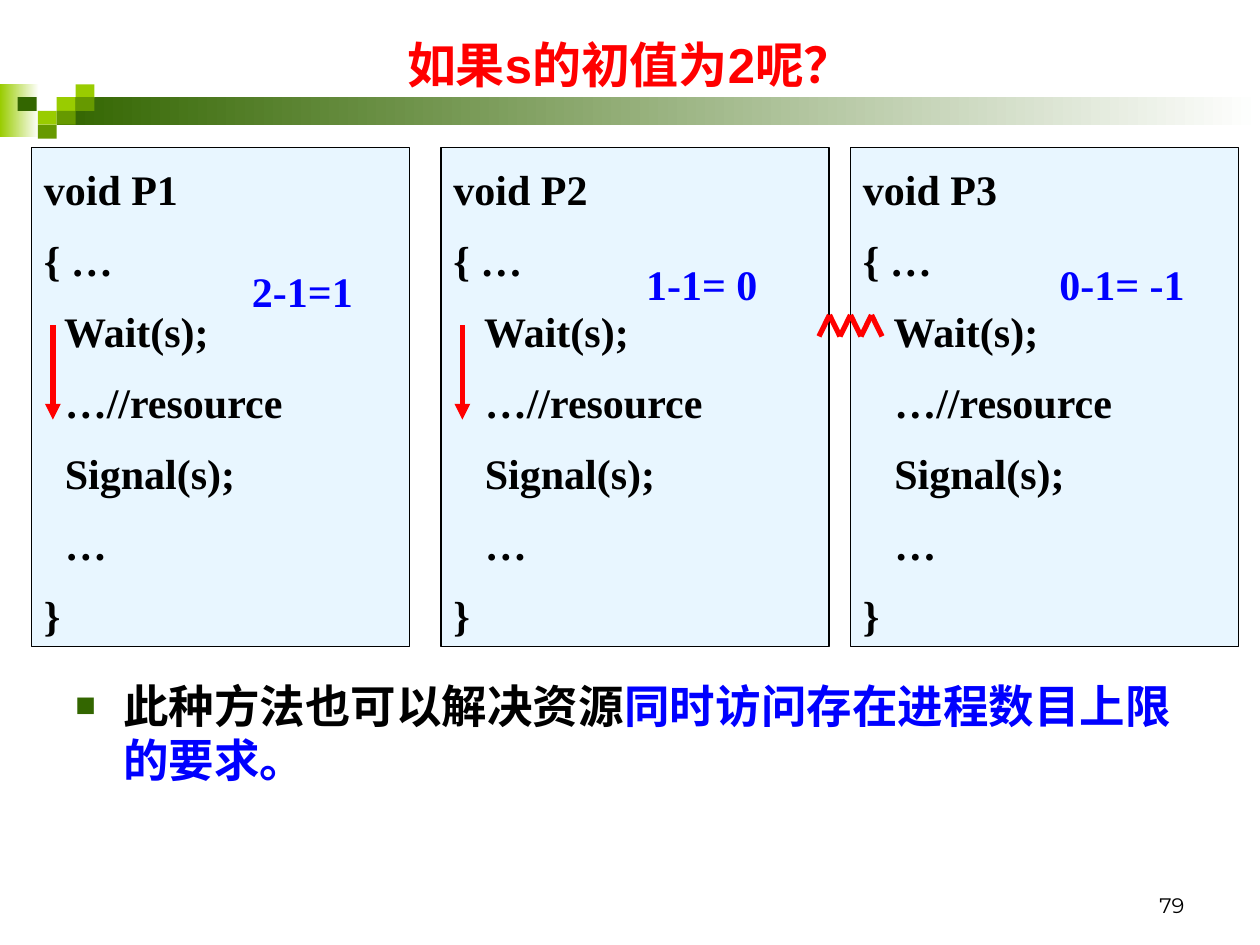
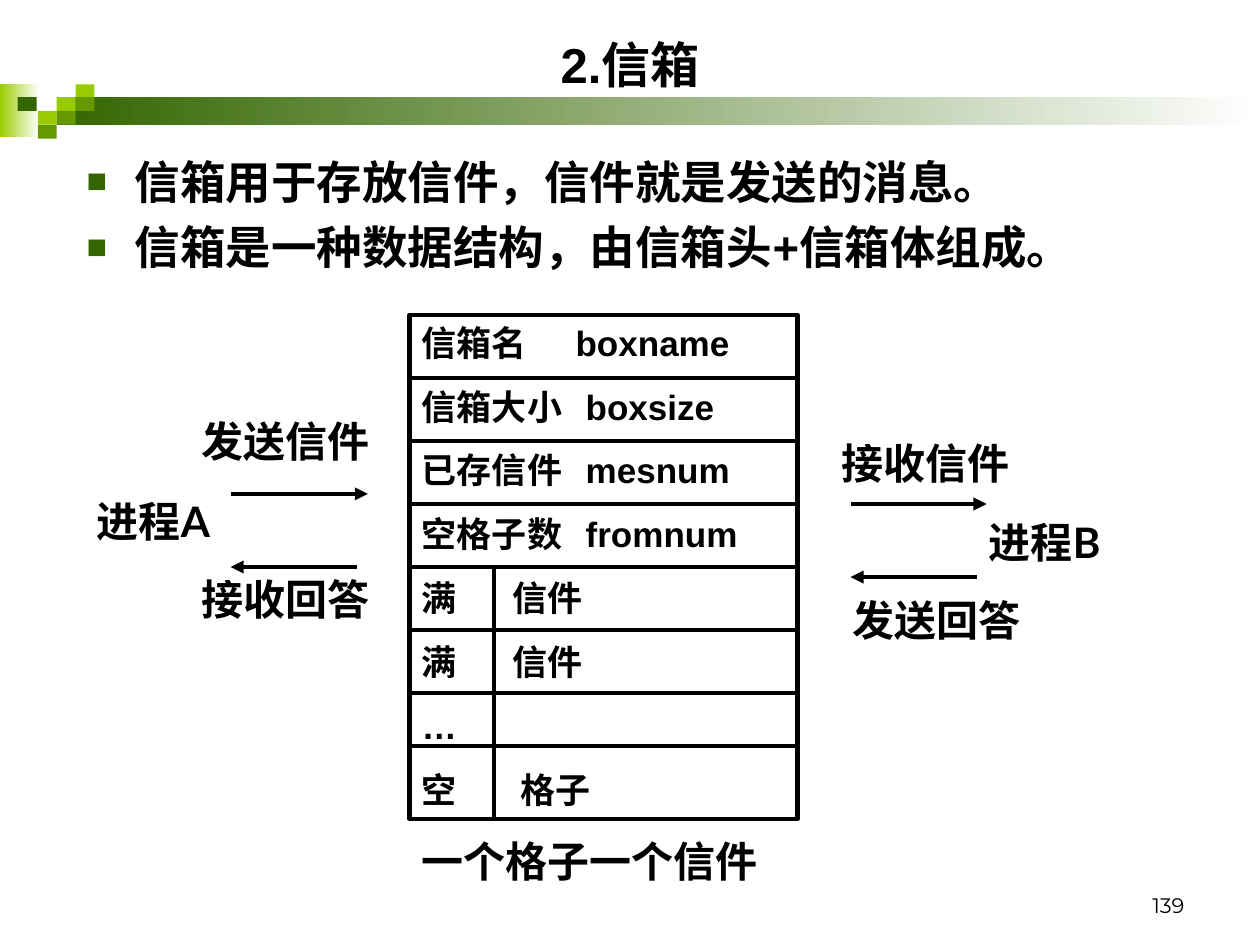
from pptx import Presentation
from pptx.dml.color import RGBColor
from pptx.enum.shapes import MSO_CONNECTOR, MSO_SHAPE
from pptx.enum.text import MSO_ANCHOR, MSO_AUTO_SIZE, PP_ALIGN
from pptx.oxml.xmlchemy import OxmlElement
from pptx.util import Inches, Pt

LEFT, CENTER, RIGHT = PP_ALIGN.LEFT, PP_ALIGN.CENTER, PP_ALIGN.RIGHT
TOP, MIDDLE, BOTTOM = MSO_ANCHOR.TOP, MSO_ANCHOR.MIDDLE, MSO_ANCHOR.BOTTOM
NO_FIT = MSO_AUTO_SIZE.NONE
RECTANGLE = MSO_SHAPE.RECTANGLE
STRAIGHT = MSO_CONNECTOR.STRAIGHT
color = RGBColor.from_string

BLACK, WHITE, RED, BLUE = "000000", "FFFFFF", "FF0000", "0000FF"
LIME, GREEN, DARK_GREEN, PALE_BLUE = "99CC00", "669900", "336600", "CCECFF"

TITLE = {"font": {"name": "Arial", "size": Pt(28), "bold": True}, "east": "Lato",
         "frame": {"vertical_anchor": MIDDLE, "word_wrap": True},
         "para": {"alignment": CENTER}}
PAGE_NUMBER = {"font": {"name": "Montserrat", "size": Pt(12), "bold": False}, "east": "Lato",
               "frame": {"vertical_anchor": BOTTOM, "word_wrap": True},
               "para": {"alignment": RIGHT}}
CODE = {"font": {"name": "Times New Roman", "size": Pt(24), "bold": True},
        "east": "Times New Roman",
        "frame": {"vertical_anchor": TOP, "word_wrap": True},
        "para": {"alignment": LEFT, "line_spacing": 1.2}, "gap": Pt(6)}
VALUE = {"font": CODE["font"], "east": "Times New Roman",
         "frame": {"vertical_anchor": TOP, "word_wrap": False},
         "para": {"alignment": CENTER}}
BULLET = {"font": {"name": "Arial", "size": Pt(26), "bold": True}, "east": "Lato",
          "frame": {"vertical_anchor": TOP, "word_wrap": True},
          "para": {"alignment": LEFT}, "gap": Pt(6.5), "bullet": True}
LABEL = {"font": {"name": "Lato", "size": Pt(24), "bold": True}, "east": "Lato",
         "frame": {"vertical_anchor": TOP, "word_wrap": True},
         "para": {"alignment": LEFT}}
FIELD = {"font": {"name": "Arial", "size": Pt(20), "bold": True}, "east": "Lato",
         "frame": {"vertical_anchor": TOP, "word_wrap": True},
         "para": {"alignment": LEFT}, "gap": Pt(12.5)}


def write_text(box, lines, style, ink=BLACK, tabs=()):
    frame = box.text_frame
    frame.auto_size = NO_FIT
    for name, value in style["frame"].items():
        setattr(frame, name, value)
    for side in ("left", "right"):
        setattr(frame, f"margin_{side}", Inches(0.1))
    for side in ("top", "bottom"):
        setattr(frame, f"margin_{side}", Inches(0.05))
    for index, line in enumerate(lines):
        para = frame.add_paragraph() if index else frame.paragraphs[0]
        properties = para._p.get_or_add_pPr()
        if style.get("bullet"):
            properties.set("marL", str(Inches(0.38)))
            properties.set("indent", str(-Inches(0.38)))
            bullet_color = OxmlElement("a:buClr")
            swatch = OxmlElement("a:srgbClr")
            swatch.set("val", DARK_GREEN)
            bullet_color.append(swatch)
            properties.append(bullet_color)
            for tag, key, value in (("a:buSzPct", "val", "75000"),
                                    ("a:buFont", "typeface", "Arial"),
                                    ("a:buChar", "char", "■")):
                element = OxmlElement(tag)
                element.set(key, value)
                properties.append(element)
        if tabs and tabs[index]:
            tab_list, tab = OxmlElement("a:tabLst"), OxmlElement("a:tab")
            tab.set("pos", str(Inches(tabs[index])))
            tab.set("algn", "l")
            tab_list.append(tab)
            properties.append(tab_list)
        for name, value in style["para"].items():
            setattr(para, name, value)
        para.space_before = style.get("gap", Pt(0)) if index else Pt(0)
        for text, span_ink in [(line, ink)] if isinstance(line, str) else line:
            span = para.add_run()
            span.text = text
            for name, value in style["font"].items():
                setattr(span.font, name, value)
            span.font.color.rgb = color(span_ink)
            east = OxmlElement("a:ea")
            east.set("typeface", style["east"])
            span._r.get_or_add_rPr().append(east)


def draw_line(slide, start, end, ink, width, arrow=False):
    line = slide.shapes.add_connector(STRAIGHT, *(Inches(value) for value in start + end))
    line.line.color.rgb = color(ink)
    line.line.width = Pt(width)
    if arrow:
        head = OxmlElement("a:tailEnd")
        head.set("type", "triangle")
        line.line._get_or_add_ln().append(head)
    line._element.spPr.append(OxmlElement("a:effectLst"))


deck = Presentation()
deck.slide_width, deck.slide_height = Inches(10), Inches(7.5)

BAND = [(0, 0.67, 0.31, 0.42, LIME, True), (0.45, 0.77, 9.55, 0.22, DARK_GREEN, True)]
BAND += [(left, top, 0.15, 0.11, ink, False) for left, top, ink in (
    (0.45, 0.77, LIME), (0.6, 0.67, LIME), (0.6, 0.77, GREEN), (0.3, 0.88, LIME),
    (0.14, 0.77, DARK_GREEN), (0.45, 0.88, GREEN), (0.3, 0.99, GREEN))]

slides = []
for title, title_ink, number in (("如果s的初值为2呢？", RED, "79"), ("2.信箱", BLACK, "139")):
    slide = deck.slides.add_slide(deck.slide_layouts[5])
    for left, top, width, height, ink, fades in BAND:
        block = slide.shapes.add_shape(RECTANGLE, *map(Inches, (left, top, width, height)))
        block.shadow.inherit = False
        block.line.fill.background()
        if fades:
            block.fill.gradient()
            block.fill.gradient_angle = 0
            for stop, stop_ink in zip(block.fill.gradient_stops, (ink, WHITE)):
                stop.color.rgb = color(stop_ink)
        else:
            block.fill.solid()
            block.fill.fore_color.rgb = color(ink)
    heading = slide.shapes.title
    for name, value in {"left": 0.5, "top": 0.17, "width": 9, "height": 0.67}.items():
        setattr(heading, name, Inches(value))
    write_text(heading, [title], TITLE, title_ink)
    footer = slide.shapes.add_textbox(*map(Inches, (7.17, 6.83, 2.33, 0.5)))
    write_text(footer, [number], PAGE_NUMBER)
    slides.append(slide)

semaphore, mailbox = slides

for name, left, width, indent in (("P1", 0.25, 3, 2), ("P2", 3.5, 3.08, 3), ("P3", 6.75, 3.08, 3)):
    process = semaphore.shapes.add_shape(RECTANGLE, *map(Inches, (left, 1.17, width, 3.96)))
    process.shadow.inherit = False
    process.fill.solid()
    process.fill.fore_color.rgb = color(PALE_BLUE)
    alpha = OxmlElement("a:alpha")
    alpha.set("val", "45000")
    process.fill._xPr.solidFill.find(".//{*}srgbClr").append(alpha)
    process.line.color.rgb = color(BLACK)
    process.line.width = Pt(0.75)
    body = [" " * indent + step for step in ("Wait(s);", "…//resource", "Signal(s);", "…")]
    write_text(process, [f"void {name}", "{ …", *body, "}"], CODE)

for text, left, top, width in (("2-1=1", 1.9, 2.06, 1), ("1-1= 0", 5.03, 2, 1.08),
                               ("0-1= -1", 8.31, 2, 1.19)):
    box = semaphore.shapes.add_textbox(*map(Inches, (left, top, width, 0.5)))
    write_text(box, [text], VALUE, BLUE)

for x in (0.42, 3.67):
    draw_line(semaphore, (x, 2.58), (x, 3.33), RED, 3, arrow=True)

zigzag = [(6.5 + step / 12, 2.5 if step % 2 else 2.67) for step in range(7)]
for start, end in zip(zigzag, zigzag[1:]):
    draw_line(semaphore, start, end, RED, 3)

summary = semaphore.shapes.add_textbox(*map(Inches, (0.5, 5.33, 9, 1.17)))
write_text(summary, [[("此种方法也可以解决资源", BLACK),
                      ("同时访问存在进程数目上限的要求。", BLUE)]], BULLET)

points = mailbox.shapes.add_textbox(*map(Inches, (0.59, 1.17, 9.06, 1.36)))
write_text(points, ["信箱用于存放信件，信件就是发送的消息。",
                    "信箱是一种数据结构，由信箱头+信箱体组成。"], BULLET)

for text, left, top, width in (
        ("进程A", 0.67, 3.88, 1.75), ("发送信件", 1.5, 3.25, 1.75), ("接收回答", 1.5, 4.5, 1.75),
        ("进程B", 7.75, 4.05, 1.75), ("接收信件", 6.58, 3.42, 1.75), ("发送回答", 6.67, 4.67, 1.75),
        ("一个格子一个信件", 3.25, 6.58, 3.58)):
    box = mailbox.shapes.add_textbox(*map(Inches, (left, top, width, 0.5)))
    write_text(box, [text], LABEL)

for start_x, end_x, y in ((1.83, 2.92, 3.92), (2.83, 1.83, 4.5), (6.75, 7.83, 4), (7.75, 6.75, 4.58)):
    draw_line(mailbox, (start_x, y), (end_x, y), BLACK, 2.5, arrow=True)

fields = [("信箱名\tboxname", 1.22), ("信箱大小\tboxsize", 1.3), ("已存信件\tmesnum", 1.3),
          ("空格子数\tfromnum", 1.3), ("满\t信件", 0.72), ("满\t信件", 0.72),
          ("…", None), ("空\t格子", 0.78)]
grid = mailbox.shapes.add_shape(RECTANGLE, *map(Inches, (3.25, 2.5, 3.08, 4)))
grid.shadow.inherit = False
grid.fill.background()
grid.line.color.rgb = color(BLACK)
grid.line.width = Pt(2.5)
write_text(grid, [text for text, tab in fields], FIELD, tabs=[tab for text, tab in fields])

for y in [3 + 0.5 * row for row in range(6)] + [5.92]:
    draw_line(mailbox, (3.25, y), (6.33, y), BLACK, 2.5)
draw_line(mailbox, (3.92, 4.5), (3.92, 6.5), BLACK, 2.5)

deck.save("out.pptx")
